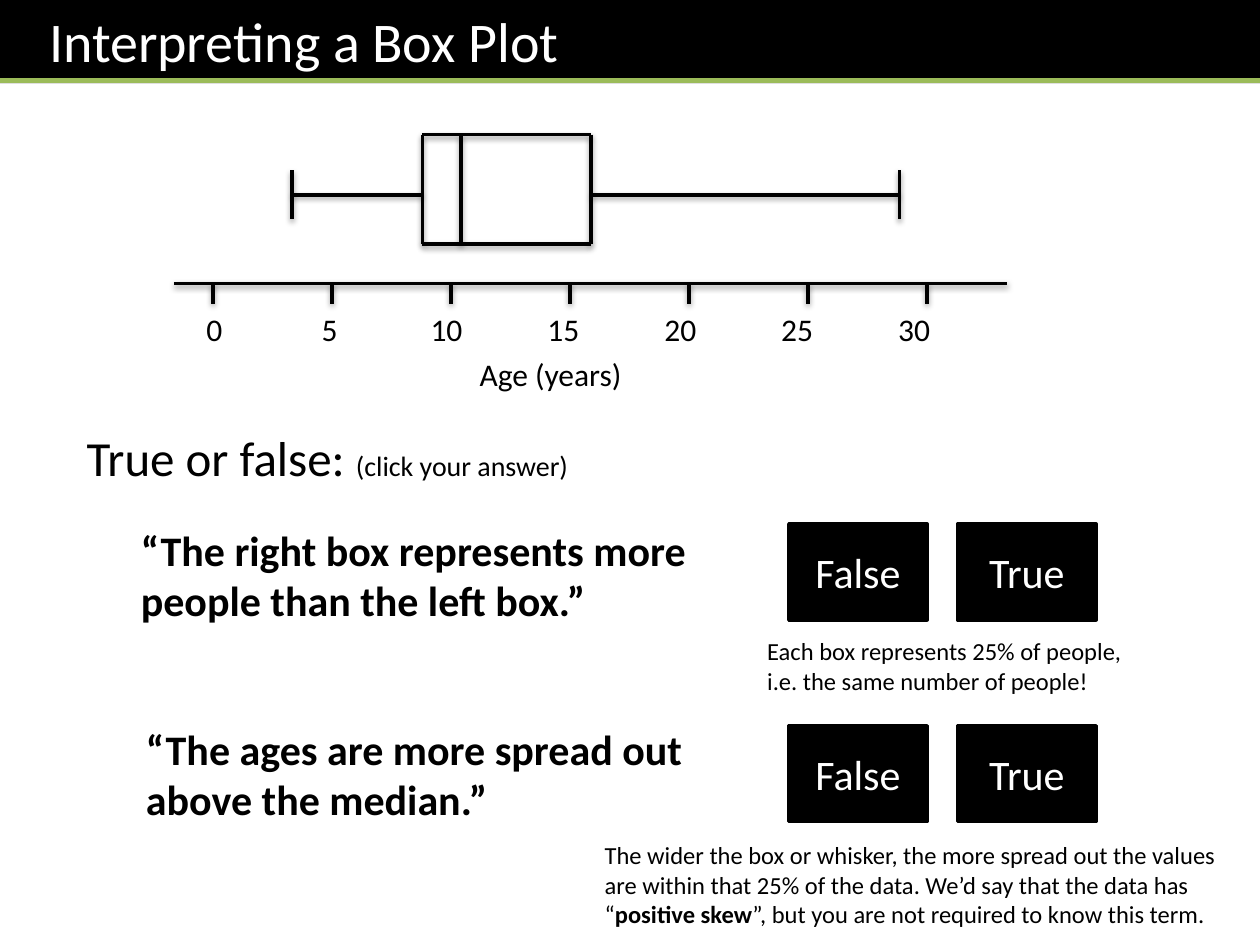
from lxml.etree import SubElement
from pptx import Presentation
from pptx.dml.color import RGBColor
from pptx.enum.shapes import MSO_CONNECTOR, MSO_SHAPE
from pptx.enum.text import MSO_ANCHOR as Anchor, PP_ALIGN as Align
from pptx.oxml.ns import qn
from pptx.util import Pt

THEME = {
    "font": "Calibri",
    "black": RGBColor(0, 0, 0),
    "white": RGBColor(255, 255, 255),
    "green": RGBColor(0x9B, 0xBB, 0x59),
    "title": 32, "prompt": 28, "statement": 24, "axis": 18, "hint": 16, "note": 14,
}

TITLE = "Interpreting a Box Plot"
AGES = {"min": 3.33, "q1": 8.8, "median": 10.43, "q3": 15.88, "max": 28.85}
TICKS = range(0, 31, 5)
AXIS_TITLE = "Age (years)"
# Each run is (text, overrides)
PROMPT = [("True or false: ", {}), ("(click your answer)", {"size": THEME["hint"]})]
QUESTIONS = [
    {
        "statement": "“The right box represents more people than the left box.”",
        "statement_at": (73.4, 295.9),
        "buttons_top": 299.5,
        "note": [("Each box represents 25% of people, i.e. the same number of people!", {})],
        "note_at": (431.3, 360, 231.8, 41),
    },
    {
        "statement": "“The ages are more spread out above the median.”",
        "statement_at": (76.3, 409.7),
        "buttons_top": 414.7,
        "note": [
            ("The wider the box or whisker, the more spread out the values are "
             "within that 25% of the data. We’d say that the data has “", {}),
            ("positive skew", {"bold": True}),
            ("”, but you are not required to know this term.", {}),
        ],
        "note_at": (338.4, 476.6, 373, 58.3),
    },
]
ANSWERS = ["False", "True"]

ZERO_X, YEAR = 121.7, 13.6
AXIS_Y, TICK_LENGTH = 162, 11.5
BOX_TOP, BOX_BOTTOM = 77, 139.5
WHISKER_Y, CAP = 111.4, 14
LABEL_FIRST, LABEL_STEP = 3.6, 66.8
BUTTON_LEFT, BUTTON_STEP = 450.7, 96.5

prs = Presentation()
prs.slide_width, prs.slide_height = Pt(720), Pt(540)
slide = prs.slides.add_slide(prs.slide_layouts[5])


def write(shape, text, *, size, color=THEME["black"], bold=False,
          align=Align.LEFT, anchor=Anchor.TOP, left_inset=7.2, tabs=()):
    """Fill a shape with one paragraph; text is a string or a list of runs."""
    frame = shape.text_frame
    frame.word_wrap = True
    frame.vertical_anchor = anchor
    frame.margin_left = Pt(left_inset)
    paragraph = frame.paragraphs[0]
    if tabs:
        tab_list = SubElement(paragraph._p.get_or_add_pPr(), qn("a:tabLst"))
        for position in tabs:
            SubElement(tab_list, qn("a:tab"), pos=str(int(Pt(position))), algn="ctr")
    paragraph.alignment = align
    for words, changes in [(text, {})] if isinstance(text, str) else text:
        run = paragraph.add_run()
        run.text = words
        run.font.name = THEME["font"]
        run.font.size = Pt(changes.get("size", size))
        run.font.bold = changes.get("bold", bold)
        run.font.color.rgb = color


def text_box(box, text, **style):
    write(slide.shapes.add_textbox(*map(Pt, box)), text, **style)


def panel(box, text, fill, outline=None, **style):
    shape = slide.shapes.add_shape(MSO_SHAPE.RECTANGLE, *map(Pt, box))
    shape.shadow.inherit = False
    shape.fill.solid()
    shape.fill.fore_color.rgb = fill
    if outline is None:
        shape.line.fill.background()
    else:
        shape.line.color.rgb = outline
        shape.line.width = Pt(2)
    write(shape, text, **style)


def line(x1, y1, x2, y2, color=THEME["black"], width=2, shadow=True):
    connector = slide.shapes.add_connector(MSO_CONNECTOR.STRAIGHT, *map(Pt, (x1, y1, x2, y2)))
    connector.line.color.rgb = color
    connector.line.width = Pt(width)
    effects = SubElement(connector._element.spPr, qn("a:effectLst"))
    if shadow:
        outer = SubElement(effects, qn("a:outerShdw"), blurRad="40000", dist="20000",
                           dir="5400000", rotWithShape="0")
        shade = SubElement(outer, qn("a:srgbClr"), val="000000")
        SubElement(shade, qn("a:alpha"), val="38000")


def age_x(age):
    return ZERO_X + age * YEAR


# Title band
title = slide.shapes.title
title.left, title.top, title.width, title.height = map(Pt, (0, 0, 720, 47.5))
title.fill.solid()
title.fill.fore_color.rgb = THEME["black"]
write(title, TITLE, size=THEME["title"], color=THEME["white"], left_inset=28)
line(0, 46, 720, 46, color=THEME["green"], width=3, shadow=False)

# Axis
line(99.4, AXIS_Y, 575.3, AXIS_Y)
for tick in TICKS:
    line(age_x(tick), AXIS_Y + TICK_LENGTH, age_x(tick), AXIS_Y)
text_box((110.9, 173.5, 453.6, 29), "\t".join(map(str, TICKS)), size=THEME["axis"],
         tabs=[LABEL_FIRST + LABEL_STEP * i for i in range(1, len(TICKS))])
text_box((172.8, 199.4, 283.7, 29), AXIS_TITLE, size=THEME["axis"], align=Align.CENTER)

# Box plot
plot = {name: age_x(age) for name, age in AGES.items()}
for name in ("min", "max"):
    line(plot[name], WHISKER_Y - CAP, plot[name], WHISKER_Y + CAP)
for name in ("q1", "median", "q3"):
    line(plot[name], BOX_TOP, plot[name], BOX_BOTTOM)
for y in (BOX_TOP, BOX_BOTTOM):
    line(plot["q1"], y, plot["q3"], y)
for start, end in (("min", "q1"), ("q3", "max")):
    line(plot[start], WHISKER_Y, plot[end], WHISKER_Y)

# Questions
text_box((42.5, 240.5, 424.8, 41), PROMPT, size=THEME["prompt"])
for question in QUESTIONS:
    panel((*question["statement_at"], 337.7, 65.5), question["statement"],
          THEME["white"], size=THEME["statement"], bold=True)
    for i, answer in enumerate(ANSWERS):
        panel((BUTTON_LEFT + i * BUTTON_STEP, question["buttons_top"], 79.2, 54.7), answer,
              THEME["black"], outline=THEME["black"], size=THEME["statement"],
              color=THEME["white"], align=Align.CENTER, anchor=Anchor.MIDDLE)
    text_box(question["note_at"], question["note"], size=THEME["note"])

prs.save("out.pptx")
